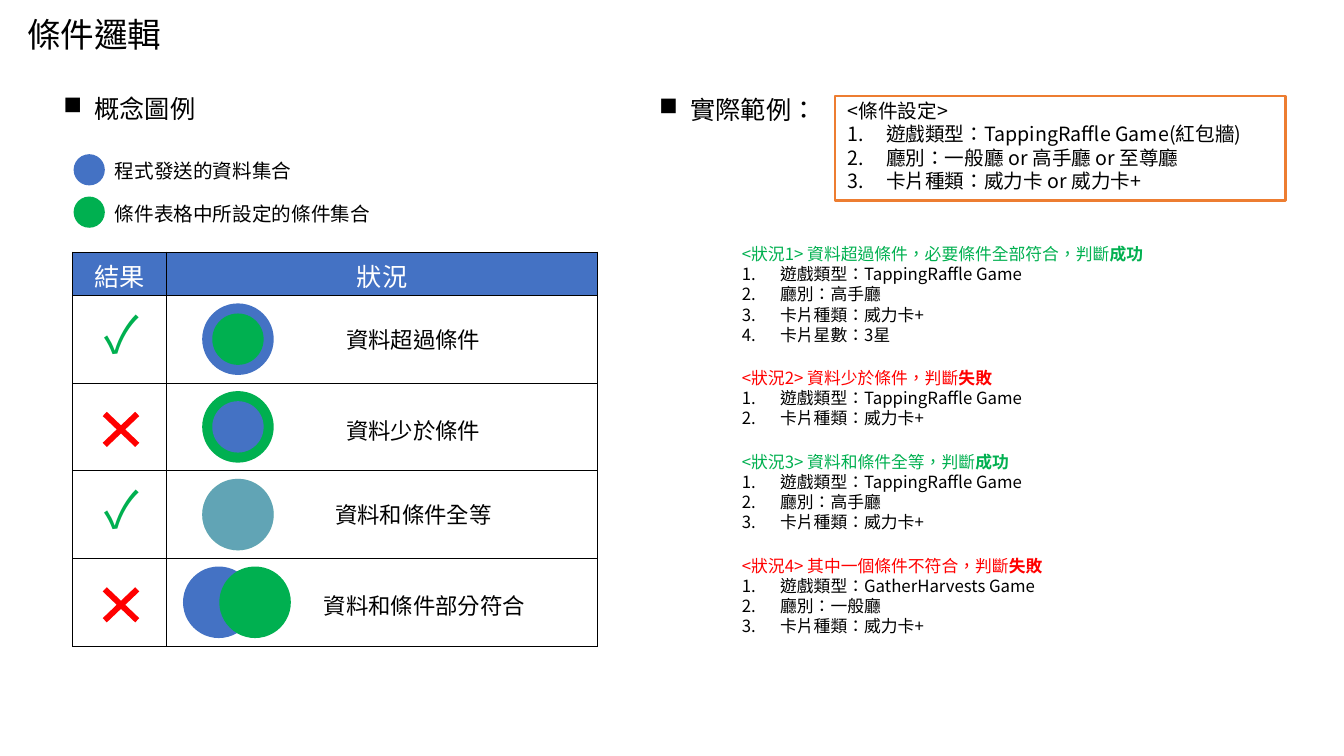
from lxml import etree
from pptx import Presentation
from pptx.dml.color import RGBColor
from pptx.enum.lang import MSO_LANGUAGE_ID as Language
from pptx.enum.shapes import MSO_SHAPE as Shape
from pptx.enum.text import MSO_ANCHOR as Anchor, MSO_AUTO_SIZE as AutoSize, PP_ALIGN as Align
from pptx.oxml.ns import qn
from pptx.util import Inches, Pt

COLORS = {"data": "4472C4", "rule": "00B050", "fail": "FF0000", "frame": "ED7D31",
          "black": "000000", "white": "FFFFFF"}
FONT, CHECK_FONT = "Noto Sans CJK JP", "Noto Sans CJK KR"

TITLE = "條件邏輯"
HEADINGS = [("概念圖例", 0.53, 0.88), ("實際範例：", 6.44, 0.89)]
LEGEND = [("data", "程式發送的資料集合", 2.62), ("rule", "條件表格中所設定的條件集合", 3.2)]
TABLE_HEADER = ["結果", "狀況"]
# passes, label, label center, circles as (center, diameter, color, opacity)
RESULTS = [
    (True, "資料超過條件", 4.1, [(2.36, 0.71, "data", 100), (2.36, 0.51, "rule", 100)]),
    (False, "資料少於條件", 4.1, [(2.36, 0.71, "rule", 100), (2.36, 0.51, "data", 100)]),
    (True, "資料和條件全等", 4.1, [(2.36, 0.71, "rule", 50), (2.36, 0.71, "data", 50)]),
    (False, "資料和條件部分符合", 4.21, [(2.17, 0.71, "data", 100), (2.53, 0.71, "rule", 100)]),
]
SETTINGS = ["<條件設定>", "遊戲類型：TappingRaffle Game(紅包牆)",
            "廳別：一般廳 or 高手廳 or 至尊廳", "卡片種類：威力卡 or 威力卡+"]
CASES = [
    (True, "<狀況1> 資料超過條件，必要條件全部符合，判斷",
     ["遊戲類型：TappingRaffle Game", "廳別：高手廳", "卡片種類：威力卡+", "卡片星數：3星"]),
    (False, "<狀況2> 資料少於條件，判斷", ["遊戲類型：TappingRaffle Game", "卡片種類：威力卡+"]),
    (True, "<狀況3> 資料和條件全等，判斷",
     ["遊戲類型：TappingRaffle Game", "廳別：高手廳", "卡片種類：威力卡+"]),
    (False, "<狀況4> 其中一個條件不符合，判斷",
     ["遊戲類型：GatherHarvests Game", "廳別：一般廳", "卡片種類：威力卡+"]),
]

TABLE_LEFT, TABLE_TOP = 0.72, 2.5
COLUMNS = [0.93, 4.28]
HEADER_HEIGHT, ROW_HEIGHT = 0.43, 0.87
CASE_TOP, CASE_LINE, CASE_PADDING, CASE_GAP = 2.37, 0.2, 0.11, 0.12

presentation = Presentation()
presentation.slide_width, presentation.slide_height = Inches(13.33), Inches(7.5)
slide = presentation.slides.add_slide(presentation.slide_layouts[6])


def rgb(name):
    return RGBColor.from_string(COLORS[name])


def style_run(run, size, color="black", font=FONT):
    run.font.size, run.font.name = Pt(size), font
    run.font.color.rgb = rgb(color)
    run.font.language_id = Language.TRADITIONAL_CHINESE
    etree.SubElement(run.font._element, qn("a:ea"), typeface=font)


def style(paragraph, size, align=Align.LEFT, **look):
    paragraph.alignment = align
    for run in paragraph.runs:
        style_run(run, size, **look)


def add_bullet(paragraph, indent, tag, **attributes):
    properties = paragraph._p.get_or_add_pPr()
    properties.set("marL", str(Inches(indent)))
    properties.set("indent", str(-Inches(indent)))
    etree.SubElement(properties, qn(tag), **attributes)


def add_text(lines, left, top, width, height, size, **look):
    box = slide.shapes.add_textbox(Inches(left), Inches(top), Inches(width), Inches(height))
    frame = box.text_frame
    frame.text = "\n".join(lines)
    frame.word_wrap = True
    frame.auto_size = AutoSize.SHAPE_TO_FIT_TEXT
    first, *numbered = frame.paragraphs
    style(first, size, **look)
    for paragraph in numbered:
        style(paragraph, size)
        add_bullet(paragraph, 0.38, "a:buAutoNum", type="arabicPeriod")
    return frame


def add_shape(kind, left, top, width, height, fill=None, opacity=100):
    shape = slide.shapes.add_shape(kind, Inches(left), Inches(top), Inches(width), Inches(height))
    shape.shadow.inherit = False
    shape.line.fill.background()
    if fill is None:
        shape.fill.background()
        return shape
    shape.fill.solid()
    shape.fill.fore_color.rgb = rgb(fill)
    if opacity < 100:
        color = shape.fill._xPr.find(".//" + qn("a:srgbClr"))
        etree.SubElement(color, qn("a:alpha"), val=str(opacity * 1000))
    return shape


def add_borders(cell):
    properties = cell._tc.get_or_add_tcPr()
    for position, side in enumerate(("a:lnL", "a:lnR", "a:lnT", "a:lnB")):
        line = etree.Element(qn(side), w=str(Pt(0.75)))
        fill = etree.SubElement(line, qn("a:solidFill"))
        etree.SubElement(fill, qn("a:srgbClr"), val=COLORS["black"])
        properties.insert(position, line)


# Title and section headings
add_text([TITLE], 0.17, 0.09, 7.39, 0.5, 24)
for heading, left, top in HEADINGS:
    frame = add_text([heading], left, top, 2.5, 0.4, 18)
    add_bullet(frame.paragraphs[0], 0.31, "a:buChar", char="■")

# Legend
for index, (color, label, width) in enumerate(LEGEND):
    top = 1.53 + 0.42 * index
    add_shape(Shape.OVAL, 0.73, top, 0.31, 0.31, color)
    add_text([label], 1.04, top, width, 0.34, 14)

# Result table
table = slide.shapes.add_table(
    len(RESULTS) + 1, len(COLUMNS), Inches(TABLE_LEFT), Inches(TABLE_TOP),
    Inches(sum(COLUMNS)), Inches(HEADER_HEIGHT + ROW_HEIGHT * len(RESULTS))).table
for column, width in zip(table.columns, COLUMNS):
    column.width = Inches(width)
for index, row in enumerate(table.rows):
    row.height = Inches(ROW_HEIGHT if index else HEADER_HEIGHT)
for cell in table.iter_cells():
    cell.fill.background()
    add_borders(cell)
for cell, heading in zip(table.rows[0].cells, TABLE_HEADER):
    cell.fill.solid()
    cell.fill.fore_color.rgb = rgb("data")
    cell.vertical_anchor = Anchor.MIDDLE
    cell.text_frame.text = heading
    style(cell.text_frame.paragraphs[0], 18, Align.CENTER, color="white")

# Marks, circles and labels, centered on each table row
for index, (passes, label, label_center, circles) in enumerate(RESULTS):
    middle = TABLE_TOP + HEADER_HEIGHT + ROW_HEIGHT * (index + 0.5)
    for center, diameter, color, opacity in circles:
        add_shape(Shape.OVAL, center - diameter / 2, middle - diameter / 2,
                  diameter, diameter, color, opacity)
    label_top = middle - (0.18 if passes else 0.15)
    add_text([label], label_center - 1.18, label_top, 2.36, 0.37, 16, align=Align.CENTER)
    if passes:
        add_text(["✓"], 0.66, middle - 0.41, 1.09, 0.71, 36,
                 color="rule", font=CHECK_FONT, align=Align.CENTER)
    else:
        cross = add_shape(Shape.MATH_MULTIPLY, 0.89, middle - 0.27, 0.62, 0.59, "fail")
        cross.adjustments[0] = 0.099

# Condition settings
add_text(SETTINGS, 8.31, 0.93, 4.68, 1.04, 14)
settings_frame = add_shape(Shape.RECTANGLE, 8.28, 0.95, 4.47, 1.04)
settings_frame.line.color.rgb = rgb("frame")
settings_frame.line.width = Pt(1.5)

# Example cases, stacked by their number of lines
top = CASE_TOP
for passes, heading, conditions in CASES:
    color = "rule" if passes else "fail"
    height = CASE_LINE * (len(conditions) + 1) + CASE_PADDING
    frame = add_text([heading, *conditions], 7.26, top, 5.34, height, 12, color=color)
    verdict = frame.paragraphs[0].add_run()
    verdict.text = "成功" if passes else "失敗"
    verdict.font.bold = True
    style_run(verdict, 12, color)
    top += height + CASE_GAP

presentation.save("out.pptx")
